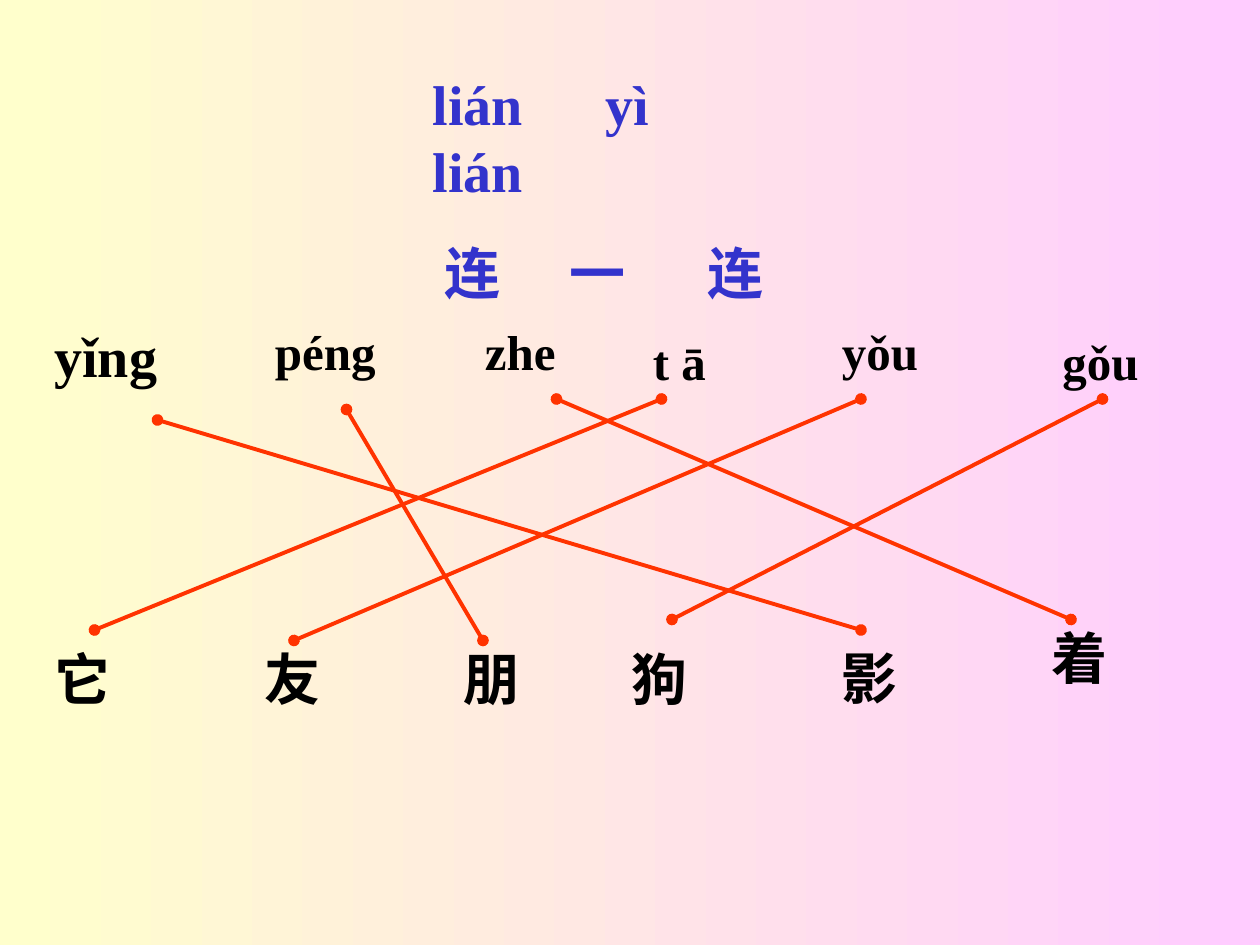
from lxml import etree
from pptx import Presentation
from pptx.dml.color import RGBColor
from pptx.enum.shapes import MSO_CONNECTOR
from pptx.enum.text import MSO_ANCHOR, MSO_AUTO_SIZE, PP_ALIGN
from pptx.oxml.ns import qn
from pptx.util import Pt

STRAIGHT = MSO_CONNECTOR.STRAIGHT
TOP = MSO_ANCHOR.TOP
FIXED = MSO_AUTO_SIZE.NONE
LEFT = PP_ALIGN.LEFT

COLORS = {
    "pink": "FFCCFF",
    "yellow": "FFFFCC",
    "title": "3333CC",
    "text": "000000",
    "link": "FF3300",
}
FONT = "Times New Roman"

# text, left, top, width, height, size
PINYIN = [
    ("yǐng", 24, 180, 84, 46, 32),
    ("péng", 150, 180, 84, 92, 28),
    ("zhe", 270, 180, 66, 92, 28),
    ("t ā", 366, 186, 78, 92, 28),
    ("yǒu", 474, 180, 66, 92, 28),
    ("gǒu", 600, 186, 78, 92, 28),
]
# text, left, top, width
HANZI = [
    ("它", 24, 365, 78),
    ("友", 144, 365, 66),
    ("朋", 258, 365, 84),
    ("狗", 354, 365, 78),
    ("影", 474, 364, 84),
    ("着", 594, 353, 66),
]
# x1, y1, x2, y2
LINKS = [
    (54, 360, 378, 228),
    (168, 366, 492, 228),
    (276, 366, 198, 234),
    (384, 354, 630, 228),
    (90, 240, 492, 360),
    (318, 228, 612, 354),
]


def rgb(name):
    return RGBColor.from_string(COLORS[name])


def format_font(p, size, color):
    p.font.name = FONT
    p.font.size = Pt(size)
    p.font.bold = True
    p.font.color.rgb = rgb(color)


def format_frame(tf):
    tf.word_wrap = True
    tf.auto_size = FIXED
    tf.vertical_anchor = TOP


def add_tabs(p, stops):
    tabs = etree.SubElement(p._p.get_or_add_pPr(), qn("a:tabLst"))
    for stop in stops:
        etree.SubElement(tabs, qn("a:tab"), pos=str(Pt(stop)), algn="l")


def set_background(s):
    fill = s.background.fill
    fill.gradient()
    fill.gradient_angle = 180
    for stop, name in zip(fill.gradient_stops, ("pink", "yellow")):
        stop.color.rgb = rgb(name)


def set_title(s):
    sp = s.shapes.title
    sp.left, sp.top, sp.width, sp.height = Pt(240), Pt(36), Pt(240), Pt(142)
    tf = sp.text_frame
    format_frame(tf)
    tf.text = "lián\tyì\vlián\n\t连\t一\t连"
    for p, stops in zip(tf.paragraphs, ([99], [7, 78, 157])):
        p.alignment = LEFT
        add_tabs(p, stops)
        format_font(p, 32, "title")
    tf.paragraphs[1].space_before = Pt(20)


def add_word(s, text, left, top, width, height=46, size=32):
    sp = s.shapes.add_textbox(Pt(left), Pt(top), Pt(width), Pt(height))
    tf = sp.text_frame
    format_frame(tf)
    tf.text = text
    format_font(tf.paragraphs[0], size, "text")


def add_link(s, *ends):
    """Draw a line with a round dot at both ends."""
    link = s.shapes.add_connector(STRAIGHT, *map(Pt, ends))
    link.line.color.rgb = rgb("link")
    link.line.width = Pt(2.25)
    ln = link.line._get_or_add_ln()
    for end in ("a:headEnd", "a:tailEnd"):
        etree.SubElement(ln, qn(end), type="oval")
    etree.SubElement(link._element.spPr, qn("a:effectLst"))


def main():
    prs = Presentation()
    prs.slide_width, prs.slide_height = Pt(720), Pt(540)
    s = prs.slides.add_slide(prs.slide_layouts[5])
    set_background(s)
    set_title(s)
    for word in PINYIN + HANZI:
        add_word(s, *word)
    for ends in LINKS:
        add_link(s, *ends)
    prs.save("out.pptx")


if __name__ == "__main__":
    main()
